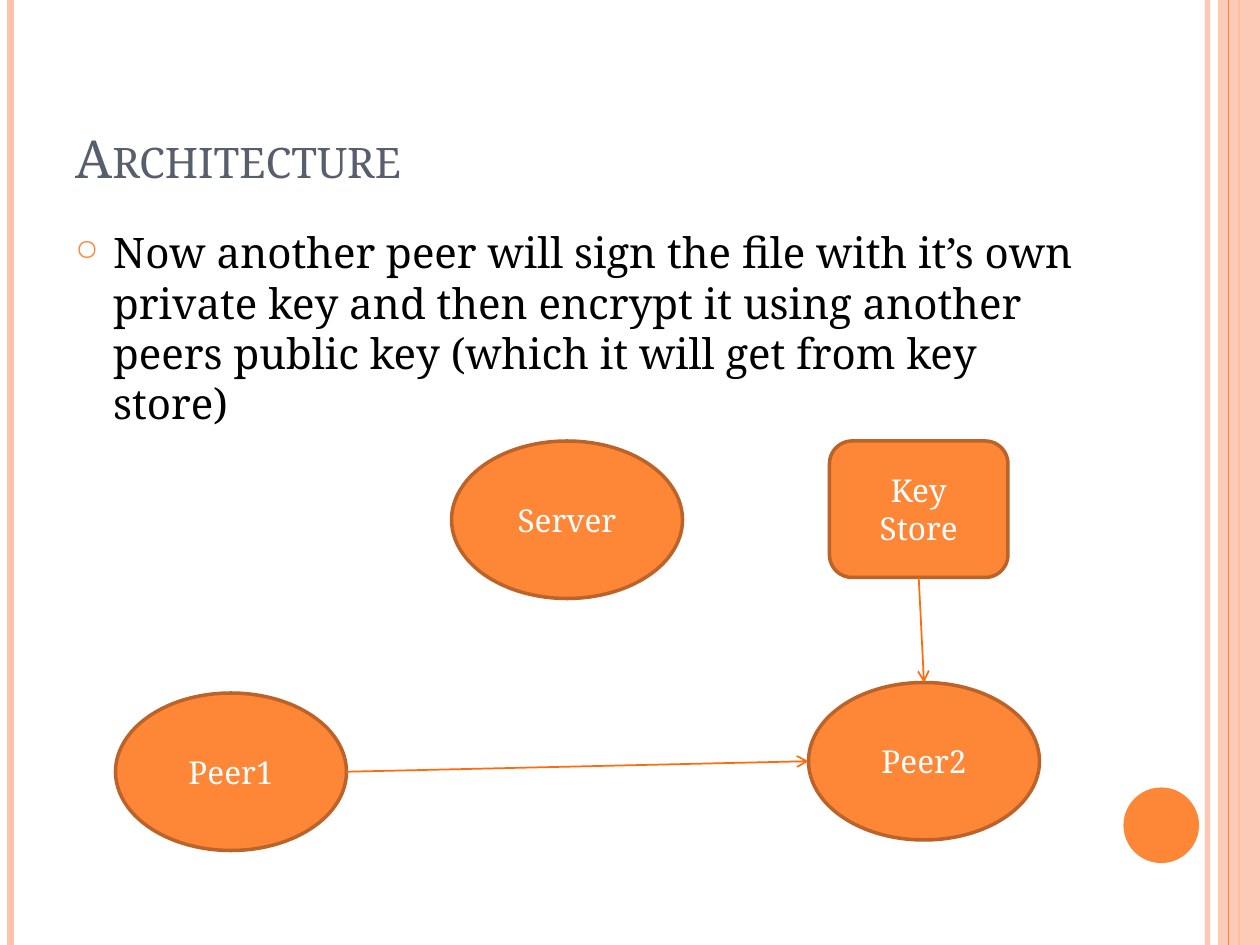
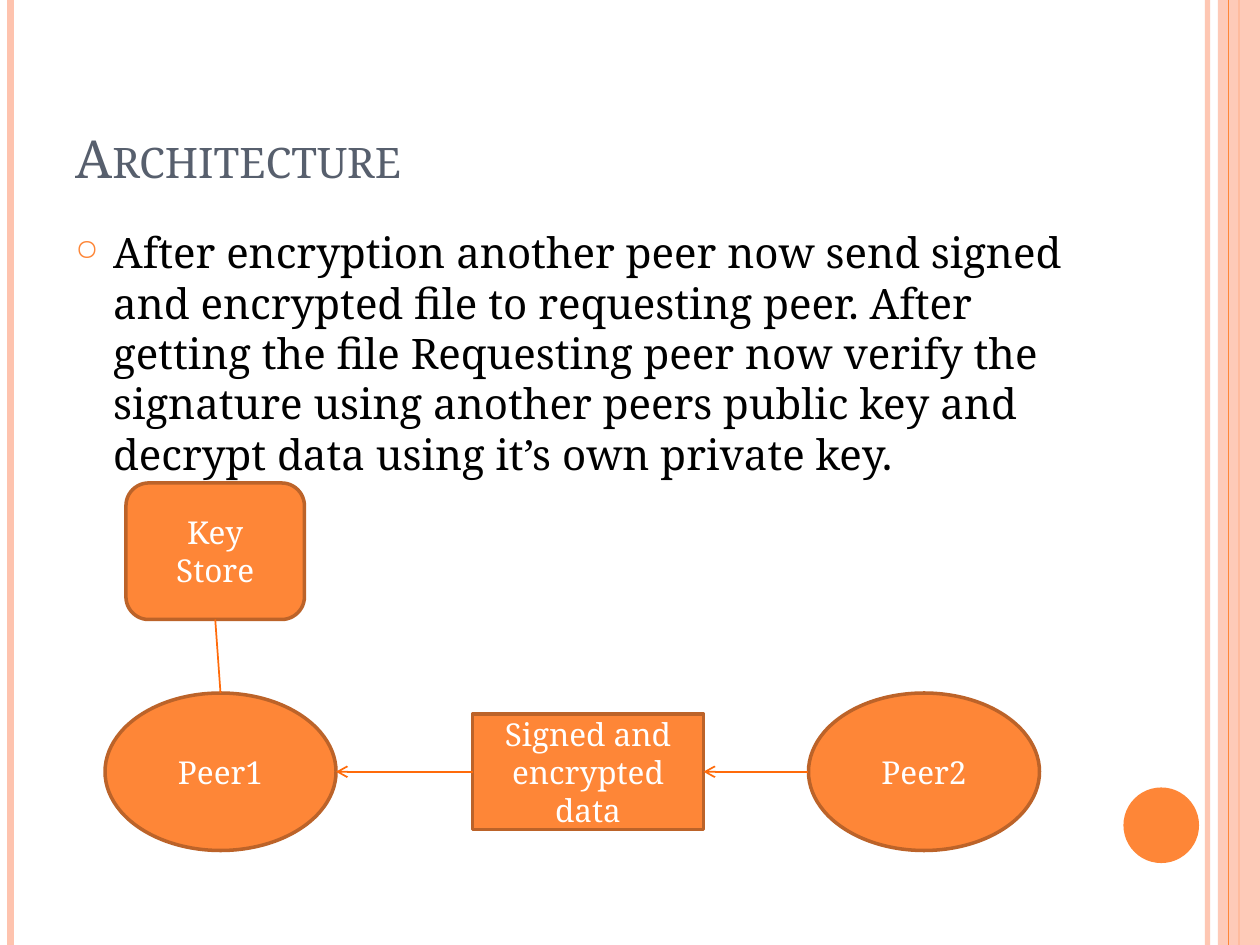
from dataclasses import dataclass

from lxml import etree
from pptx import Presentation
from pptx import util as u
from pptx.dml import color
from pptx.enum import shapes, text
from pptx.oxml import ns


@dataclass(frozen=True)
class Theme:
    """Colours, font and type sizes of the deck."""
    font: str = "Noto Serif"
    title_size: int = 30
    body_size: int = 24
    node_size: int = 18
    title: str = "575F6D"
    body: str = "000000"
    node_text: str = "FFFFFF"
    accent: str = "FE8637"
    pale: str = "FEC3AE"
    outline: str = "BC6329"
    arrow: str = "FF6B0A"


T = Theme()
WIDTH, HEIGHT = 720, 540
TITLE_BOX = (36, 21.6, 588, 90)
BODY_BOX = (36, 126, 588, 384)
INDENT = 21.6

# x, colour, weight, opacity in percent
LINES_BELOW_BAND = [(690, T.pale, 3, 93), (6, T.pale, 4.5, 100), (708, T.accent, 1.5, 100)]
LINES_ABOVE_BAND = [(702, T.accent, 0.75, 100)]
BAND = (696, 0, 24, HEIGHT)
BAND_OPACITY = 87
DOT = (642, 450, 43.2, 43.2)

# kind: preset shape, width, height
KINDS = {
    "peer": (shapes.MSO_SHAPE.OVAL, 132, 90),
    "store": (shapes.MSO_SHAPE.ROUNDED_RECTANGLE, 102, 78),
    "data": (shapes.MSO_SHAPE.RECTANGLE, 132, 66),
}

# nodes: label -> (kind, left, top); links: (from, side, to, side, has arrowhead)
SLIDES = [
    {
        "title": "Architecture",
        "body": "Now another peer will sign the file with it’s own private key and then "
                "encrypt it using another peers public key (which it will get from key store)",
        "nodes": {
            "Server": ("peer", 258, 252),
            "Peer2": ("peer", 462, 390),
            "Peer1": ("peer", 66, 396),
            "Key Store": ("store", 474, 252),
        },
        "links": [
            ("Peer1", "right", "Peer2", "left", True),
            ("Key Store", "bottom", "Peer2", "top", True),
        ],
    },
    {
        "title": "Architecture",
        "body": "After encryption another peer now send signed and encrypted file to "
                "requesting peer. After getting the file Requesting peer now verify the "
                "signature using another peers public key and decrypt data using it’s own "
                "private key.",
        "nodes": {
            "Peer2": ("peer", 462, 396),
            "Peer1": ("peer", 60, 396),
            "Key Store": ("store", 72, 276),
            "Signed and encrypted data": ("data", 270, 408),
        },
        "links": [
            ("Peer2", "left", "Signed and encrypted data", "right", True),
            ("Signed and encrypted data", "left", "Peer1", "right", True),
            ("Key Store", "bottom", "Peer1", "top", False),
        ],
    },
]


def points(values):
    """Turn plain numbers into lengths in points."""
    return [u.Pt(v) for v in values]


def rgb(value):
    """Return the colour for a hex string."""
    return color.RGBColor.from_string(value)


def add_xml(parent, tag, **attributes):
    """Append a DrawingML element to parent."""
    return etree.SubElement(parent, ns.qn(tag), attributes)


def set_opacity(element, percent):
    """Make the solid colour inside element partly transparent."""
    if percent < 100:
        add_xml(element.find(".//" + ns.qn("a:srgbClr")), "a:alpha", val=str(percent * 1000))


def write(sp, content, size, fill):
    """Put one paragraph of text in a shape and return the paragraph."""
    tf = sp.text_frame
    tf.word_wrap = True
    tf.text = content
    p = tf.paragraphs[0]
    font = p.runs[0].font
    font.name, font.size = T.font, u.Pt(size)
    font.color.rgb = rgb(fill)
    return p


def add_line(s, start, end, stroke, weight, opacity=100, arrow=False):
    """Draw a straight line, with an arrowhead at its end if asked."""
    line = s.shapes.add_connector(shapes.MSO_CONNECTOR.STRAIGHT, *points(start + end))
    line.line.color.rgb = rgb(stroke)
    line.line.width = u.Pt(weight)
    ln = line.line._get_or_add_ln()
    set_opacity(ln, opacity)
    if arrow:
        add_xml(ln, "a:tailEnd", type="arrow")
    add_xml(line._element.spPr, "a:effectLst")


def add_shape(s, preset, box, fill, outline=None):
    """Draw a flat filled shape with an optional outline."""
    sp = s.shapes.add_shape(preset, *points(box))
    sp.shadow.inherit = False
    sp.fill.solid()
    sp.fill.fore_color.rgb = rgb(fill)
    if outline:
        sp.line.color.rgb = rgb(outline)
        sp.line.width = u.Pt(2)
    else:
        sp.line.fill.background()
    return sp


def add_frame(s):
    """Draw the edge lines, the right band and the dot."""
    def rules(lines):
        for x, stroke, weight, opacity in lines:
            add_line(s, (x, 0), (x, HEIGHT), stroke, weight, opacity)

    rules(LINES_BELOW_BAND)
    band = add_shape(s, shapes.MSO_SHAPE.RECTANGLE, BAND, T.pale)
    set_opacity(band._element.spPr, BAND_OPACITY)
    rules(LINES_ABOVE_BAND)
    add_shape(s, shapes.MSO_SHAPE.OVAL, DOT, T.accent)


def add_title(s, content):
    """Write the small-caps title at the bottom of its box."""
    sp = s.shapes.add_textbox(*points(TITLE_BOX))
    p = write(sp, content, T.title_size, T.title)
    sp.text_frame.vertical_anchor = text.MSO_ANCHOR.BOTTOM
    p.runs[0].font._element.set("cap", "small")


def add_body(s, content):
    """Write the bulleted paragraph."""
    sp = s.shapes.add_textbox(*points(BODY_BOX))
    p = write(sp, content, T.body_size, T.body)
    p.space_before = u.Pt(6)
    pPr = p._p.get_or_add_pPr()
    pPr.set("marL", str(u.Pt(INDENT)))
    pPr.set("indent", str(-u.Pt(INDENT)))
    add_xml(add_xml(pPr, "a:buClr"), "a:srgbClr", val=T.accent)
    add_xml(pPr, "a:buSzPct", val="70000")
    add_xml(pPr, "a:buChar", char="○")


def add_node(s, label, kind, left, top):
    """Draw a labelled node and return its box."""
    preset, width, height = KINDS[kind]
    box = (left, top, width, height)
    sp = add_shape(s, preset, box, T.accent, T.outline)
    p = write(sp, label, T.node_size, T.node_text)
    p.alignment = text.PP_ALIGN.CENTER
    sp.text_frame.vertical_anchor = text.MSO_ANCHOR.MIDDLE
    return box


def side_point(box, side):
    """Return the middle of one side of a box."""
    left, top, width, height = box
    fx, fy = {"left": (0, 0.5), "right": (1, 0.5), "top": (0.5, 0), "bottom": (0.5, 1)}[side]
    return left + fx * width, top + fy * height


def build_slide(prs, content):
    """Add one slide: frame, text, nodes and links."""
    s = prs.slides.add_slide(prs.slide_layouts[6])
    add_frame(s)
    add_title(s, content["title"])
    add_body(s, content["body"])
    boxes = {label: add_node(s, label, *node) for label, node in content["nodes"].items()}
    for start, start_side, end, end_side, arrow in content["links"]:
        add_line(s, side_point(boxes[start], start_side), side_point(boxes[end], end_side),
                 T.arrow, 1, arrow=arrow)


prs = Presentation()
prs.slide_width, prs.slide_height = points((WIDTH, HEIGHT))
for slide_content in SLIDES:
    build_slide(prs, slide_content)
prs.save("out.pptx")
